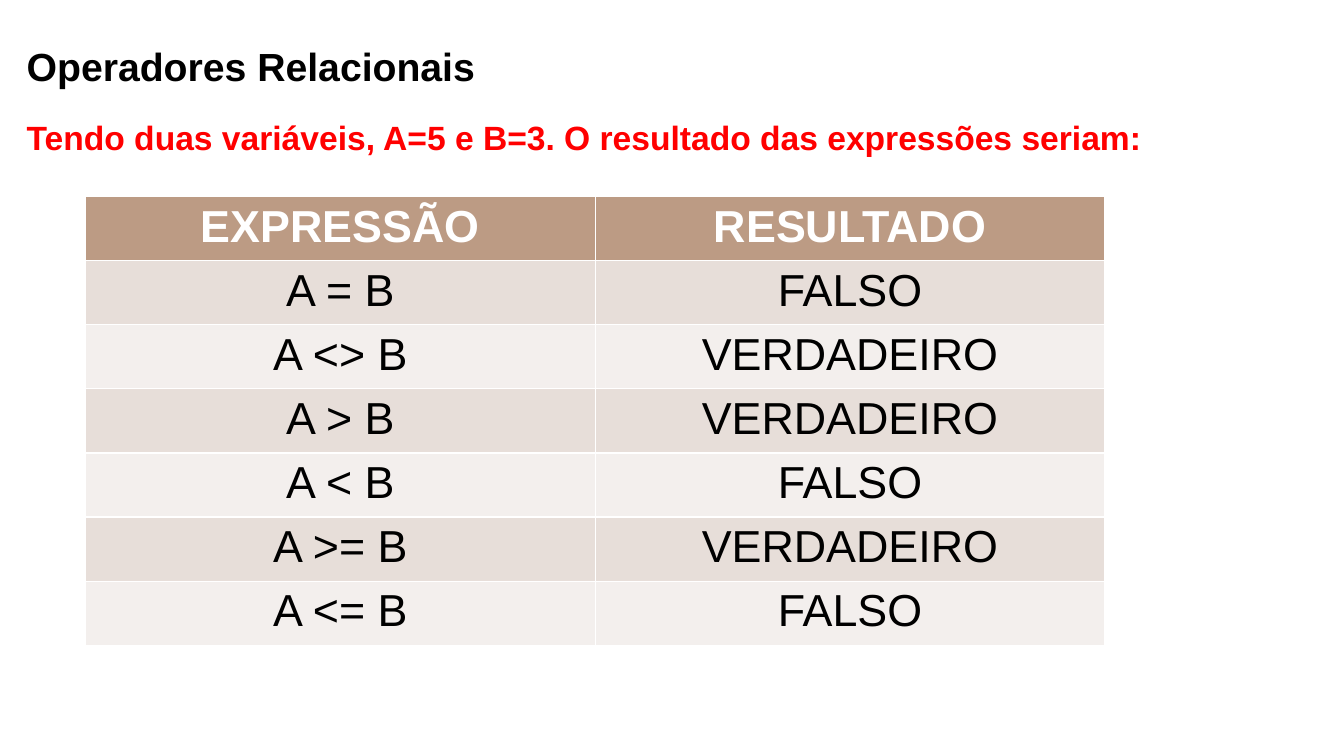
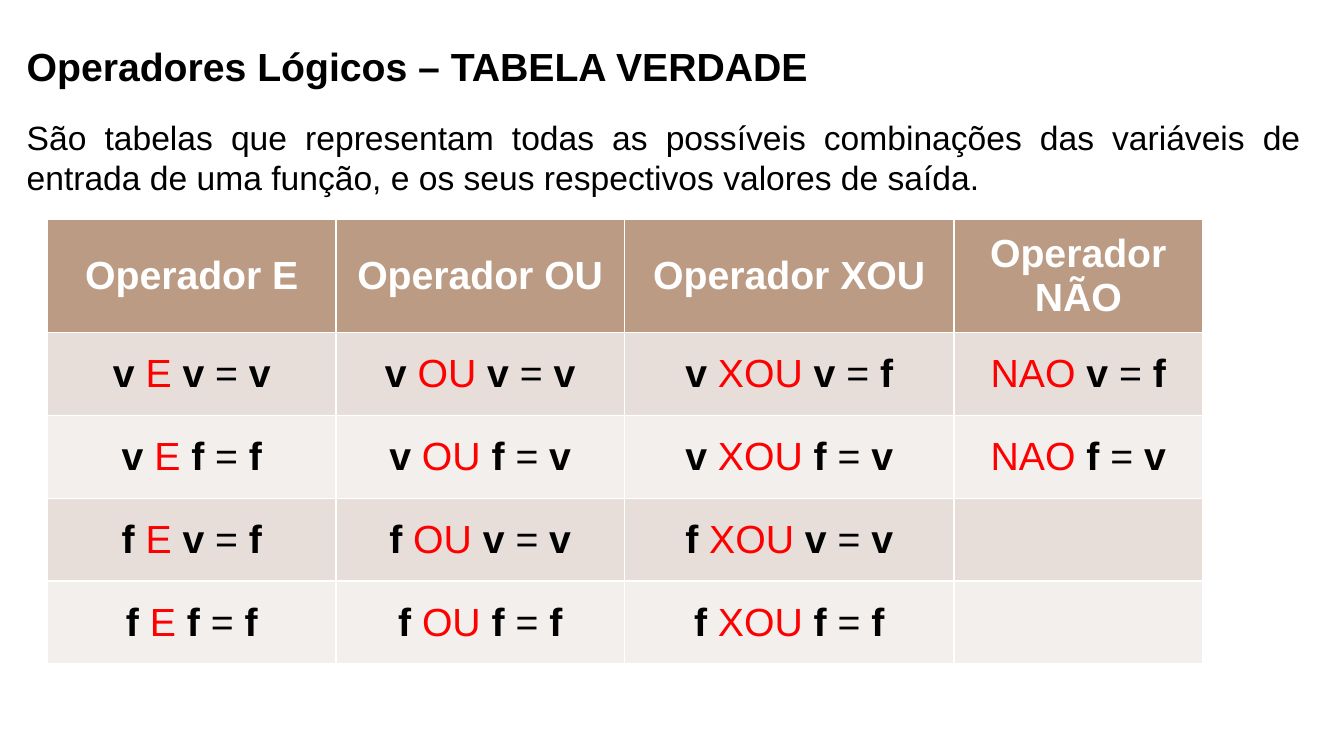
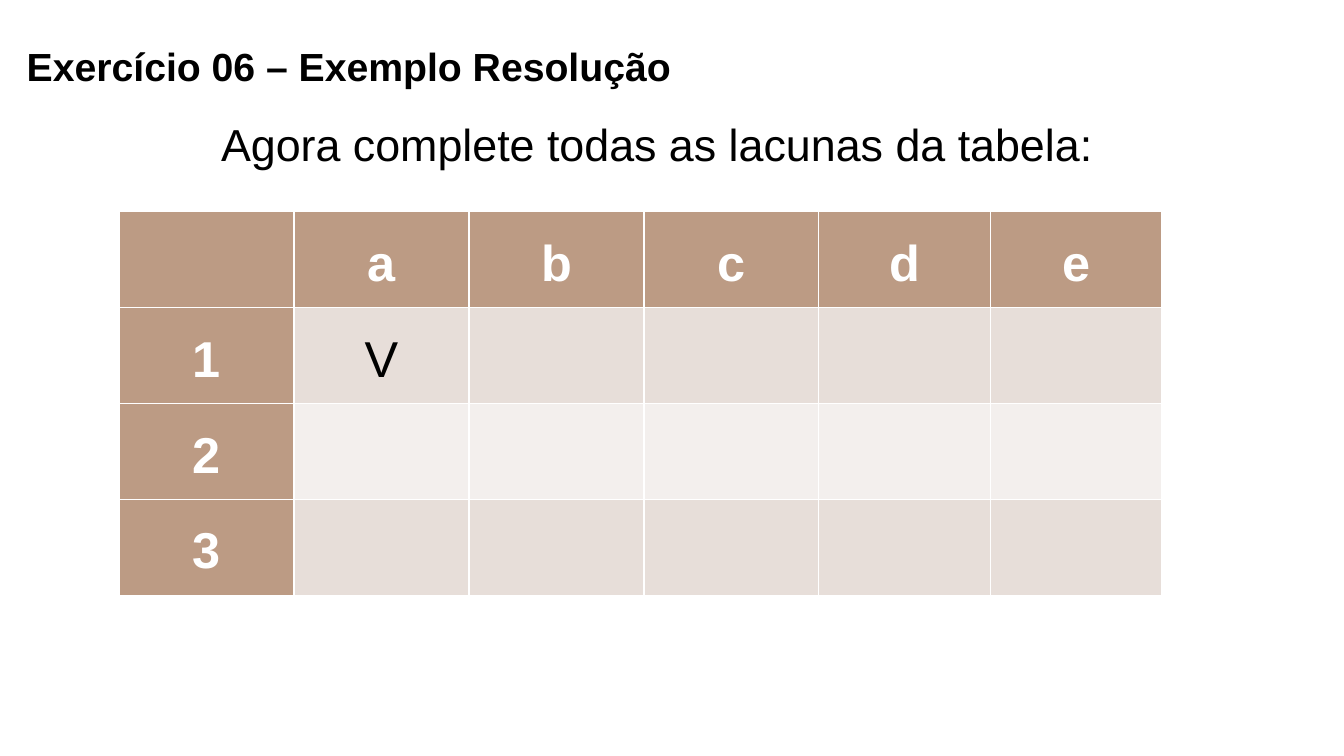
from pptx import Presentation
from pptx.dml.color import RGBColor
from pptx.enum import text
from pptx.util import Pt

FONT = "Arial"
BLACK = RGBColor(0x00, 0x00, 0x00)
WHITE = RGBColor(0xFF, 0xFF, 0xFF)
RED = RGBColor(0xFF, 0x00, 0x00)
HEADER = RGBColor(0xBC, 0x9B, 0x84)
BANDS = [RGBColor(0xF3, 0xEF, 0xED), RGBColor(0xE7, 0xDE, 0xD9)]
OPERATORS = {"E", "OU", "XOU", "NAO"}
ALIGN = text.PP_ALIGN

deck = Presentation()
deck.slide_width, deck.slide_height = Pt(960), Pt(540)


def add_line(slide, words, top, width, height, size, color=BLACK, bold=False, align=ALIGN.LEFT):
    box = slide.shapes.add_textbox(Pt(12), Pt(top), Pt(width), Pt(height))
    box.text_frame.word_wrap = True
    line = box.text_frame.paragraphs[0]
    line.text = words
    line.alignment = align
    line.font.name, line.font.size, line.font.bold = FONT, Pt(size), bold
    line.font.color.rgb = color


def add_grid(slide, rows, left, top, widths, heights, size, first_col=False,
             anchor=text.MSO_ANCHOR.MIDDLE):
    """Banded table; the default table style draws its white rules."""
    grid = slide.shapes.add_table(len(rows), len(widths), Pt(left), Pt(top),
                                  Pt(sum(widths)), Pt(sum(heights))).table
    grid.first_col = first_col
    for column, width in zip(grid.columns, widths):
        column.width = Pt(width)
    for r, (row, height) in enumerate(zip(rows, heights)):
        grid.rows[r].height = Pt(height)
        for c, words in enumerate(row):
            cell = grid.cell(r, c)
            heading = r == 0 or (first_col and c == 0)
            cell.fill.solid()
            cell.fill.fore_color.rgb = HEADER if heading else BANDS[r % 2]
            cell.vertical_anchor = anchor
            entry = cell.text_frame.paragraphs[0]
            entry.text = words
            entry.alignment = ALIGN.CENTER
            entry.font.name, entry.font.size, entry.font.bold = FONT, Pt(size), heading
            entry.font.color.rgb = WHITE if heading else BLACK
    return grid


def_titles = ["Operadores Relacionais", "Operadores Lógicos – TABELA VERDADE",
              "Exercício 06 – Exemplo Resolução"]
slides = []
for title in def_titles:
    slide = deck.slides.add_slide(deck.slide_layouts[6])
    add_line(slide, title, 26.6, 818, 41, 28, bold=True)
    slides.append(slide)
relational, logical, exercise = slides

# Relational operators
add_line(relational, "Tendo duas variáveis, A=5 e B=3. O resultado das expressões seriam:",
         80, 924, 36, 24, RED, bold=True)
results = [
    ("EXPRESSÃO", "RESULTADO"),
    ("A = B", "FALSO"),
    ("A <> B", "VERDADEIRO"),
    ("A > B", "VERDADEIRO"),
    ("A < B", "FALSO"),
    ("A >= B", "VERDADEIRO"),
    ("A <= B", "FALSO"),
]
add_grid(relational, results, 61.2, 140.4, [364] * 2, [45.8] * 7, 32,
         anchor=text.MSO_ANCHOR.TOP)

# Truth table
add_line(logical, "São tabelas que representam todas as possíveis combinações das variáveis de "
         "entrada de uma função, e os seus respectivos valores de saída.",
         80, 924, 65.5, 24, align=ALIGN.JUSTIFY)
truths = [
    ("Operador E", "Operador OU", "Operador XOU", "Operador NÃO"),
    ("v E v = v", "v OU v = v", "v XOU v = f", "NAO v = f"),
    ("v E f = f", "v OU f = v", "v XOU f = v", "NAO f = v"),
    ("f E v = f", "f OU v = v", "f XOU v = v", ""),
    ("f E f = f", "f OU f = f", "f XOU f = f", ""),
]
truth_table = add_grid(logical, truths, 34, 157, [206, 206, 235.5, 177.5],
                       [80.5] + [59.2] * 4, 28)

# Operators in red, truth values in bold
for r, row in enumerate(truths[1:], start=1):
    for c, expression in enumerate(row):
        entry = truth_table.cell(r, c).text_frame.paragraphs[0]
        entry.clear()
        words = expression.split()
        for i, word in enumerate(words):
            run = entry.add_run()
            run.text = word if i == len(words) - 1 else word + " "
            run.font.name, run.font.size = FONT, Pt(28)
            run.font.bold = word in ("v", "f")
            run.font.color.rgb = RED if word in OPERATORS else BLACK

# Exercise
add_line(exercise, "Agora complete todas as lacunas da tabela: ", 80, 924, 59, 32,
         align=ALIGN.CENTER)
answers = [
    ("", "a", "b", "c", "d", "e"),
    ("1", "V", "", "", "", ""),
    ("2", "", "", "", "", ""),
    ("3", "", "", "", "", ""),
]
answer_table = add_grid(exercise, answers, 85, 151.2, [125] * 4 + [122.5] * 2, [68.5] * 4, 36,
                        first_col=True)
for cell in answer_table.iter_cells():
    cell.margin_left = cell.margin_right = Pt(5)
    cell.margin_top = cell.margin_bottom = Pt(0)
    cell.text_frame.paragraphs[0].line_spacing = 1.15

deck.save("out.pptx")
